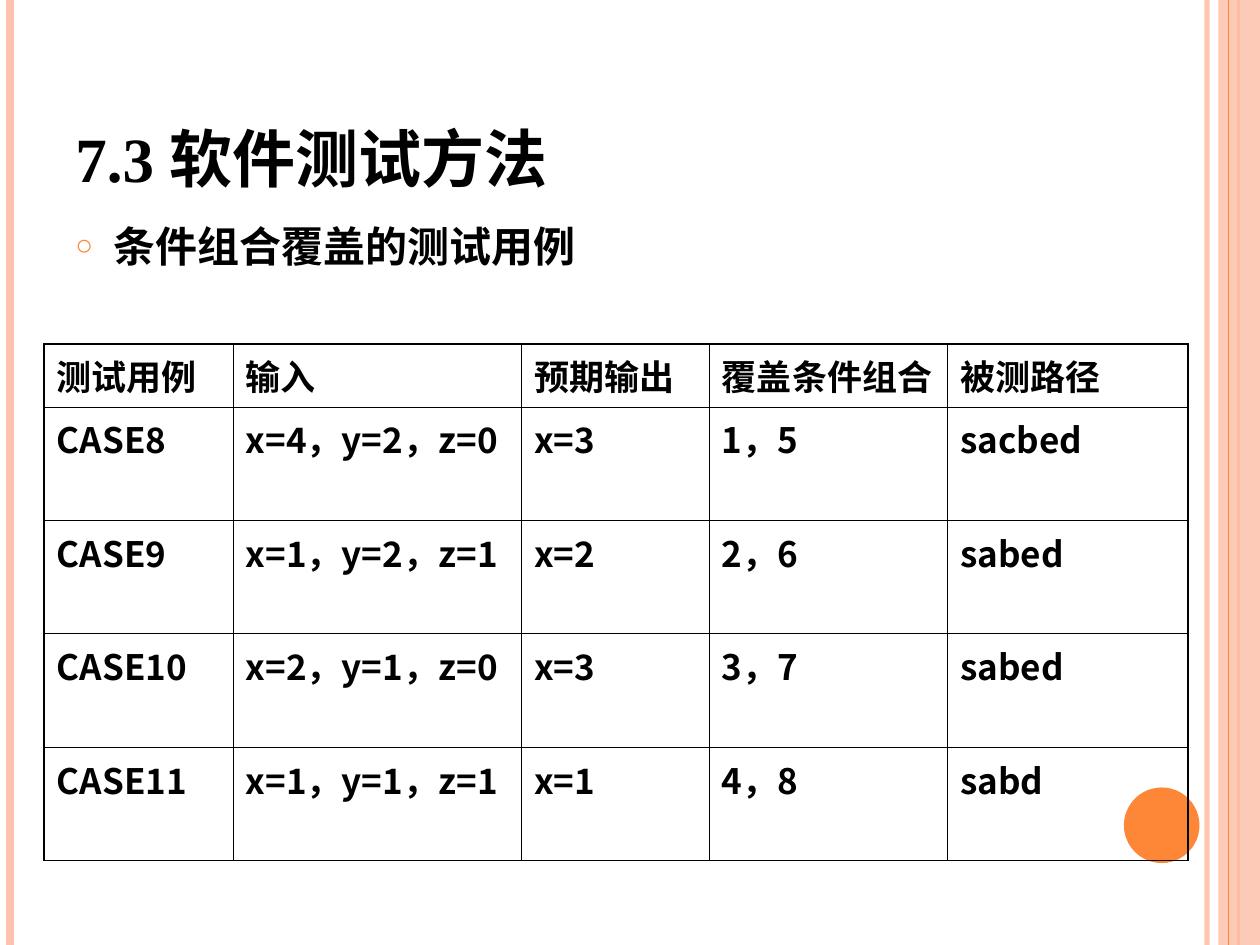
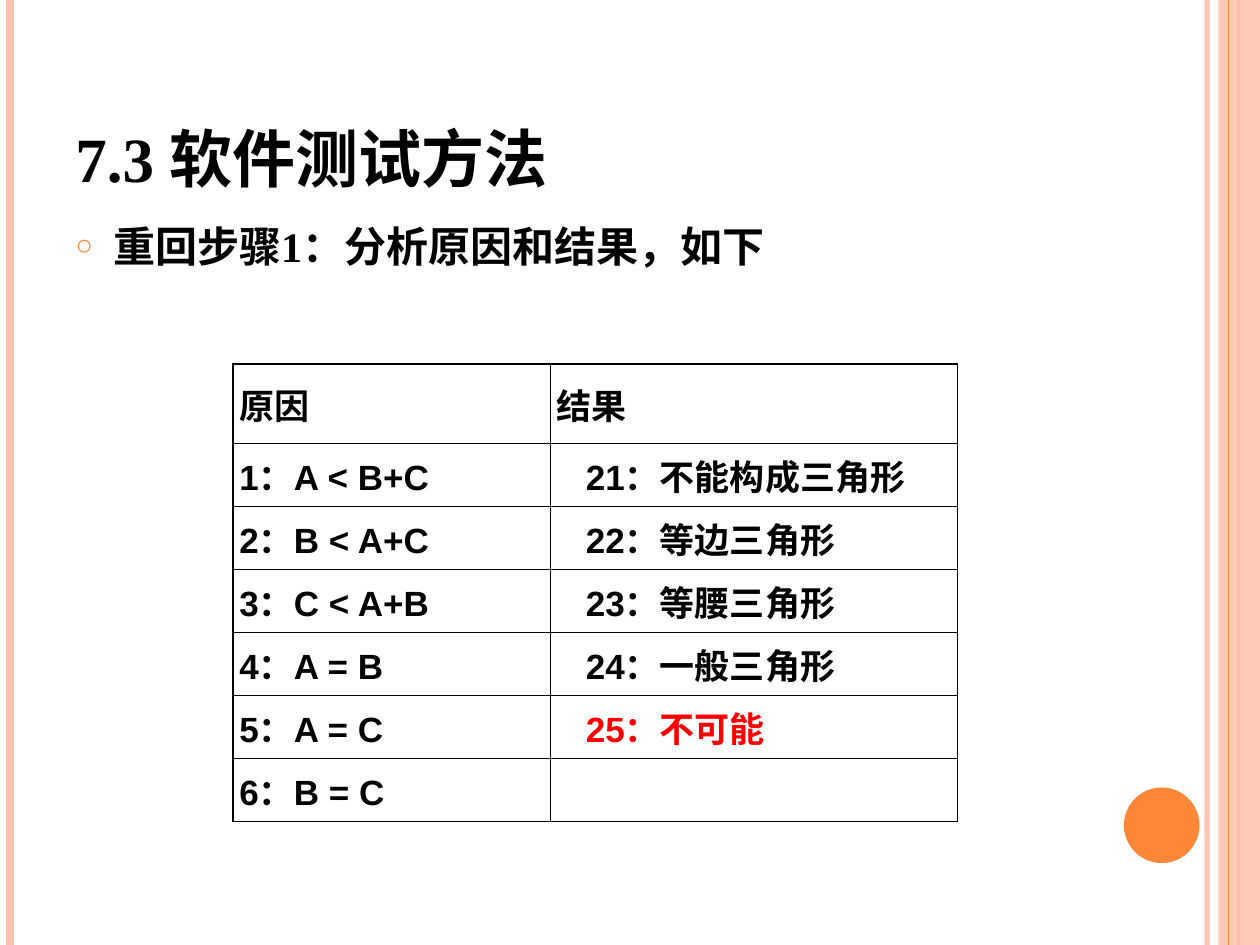
from pptx import Presentation
from pptx.dml.color import RGBColor
from pptx.enum.shapes import MSO_CONNECTOR, MSO_SHAPE
from pptx.enum.text import MSO_ANCHOR
from pptx.oxml import parse_xml
from pptx.oxml.ns import nsdecls, qn
from pptx.util import Inches, Pt

BLACK = RGBColor(0x00, 0x00, 0x00)
WHITE = RGBColor(0xFF, 0xFF, 0xFF)
RED = RGBColor(0xFF, 0x00, 0x00)
ORANGE = RGBColor(0xFE, 0x86, 0x37)
PEACH = RGBColor(0xFE, 0xC3, 0xAE)

SERIF = "Times New Roman"
SANS = "Arial"
CHINESE = "Noto Sans CJK SC"

WIDTH, HEIGHT = 10, 7.5
OUTER_BORDER, INNER_BORDER = 1.08, 0.45
TITLE = "7.3 软件测试方法"

LEFT_STRIPES = [(9.58, PEACH, 3, 93), (0.08, PEACH, 4.5, 100), (9.83, ORANGE, 1.5, 100)]
BAND_STRIPE = (9.75, ORANGE, 0.75, 100)

SLIDES = [
    {
        "point": "条件组合覆盖的测试用例",
        "rows": [
            ("测试用例", "输入", "预期输出", "覆盖条件组合", "被测路径"),
            ("CASE8", "x=4，y=2，z=0", "x=3", "1，5", "sacbed"),
            ("CASE9", "x=1，y=2，z=1", "x=2", "2，6", "sabed"),
            ("CASE10", "x=2，y=1，z=0", "x=3", "3，7", "sabed"),
            ("CASE11", "x=1，y=1，z=1", "x=1", "4，8", "sabd"),
        ],
        "corner": (0.35, 2.73),
        "columns": (1.5, 2.29, 1.49, 1.89, 1.91),
        "heights": (0.5, 0.9),
        "font": CHINESE,
        "margin": 0.1,
        "result_margin": 0.1,
        "anchor": MSO_ANCHOR.TOP,
        "fill": None,
        "red": (),
    },
    {
        "point": "重回步骤1：分析原因和结果，如下",
        "rows": [
            ("原因", "结果"),
            ("1：A < B+C", "21：不能构成三角形"),
            ("2：B < A+C", "22：等边三角形"),
            ("3：C < A+B", "23：等腰三角形"),
            ("4：A = B", "24：一般三角形"),
            ("5：A = C", "25：不可能"),
            ("6：B = C", ""),
        ],
        "corner": (1.85, 2.89),
        "columns": (2.52, 3.23),
        "heights": (0.63, 0.5),
        "font": SANS,
        "margin": 0.05,
        "result_margin": 0.28,
        "anchor": MSO_ANCHOR.MIDDLE,
        "fill": WHITE,
        "red": ("25：不可能",),
    },
]


def set_alpha(shape, percent):
    for color in shape.element.spPr.iter(qn("a:srgbClr")):
        color.append(parse_xml(f'<a:alpha {nsdecls("a")} val="{percent * 1000}"/>'))


def add_stripe(page, x, color, width, alpha):
    stripe = page.shapes.add_connector(
        MSO_CONNECTOR.STRAIGHT, Inches(x), 0, Inches(x), Inches(HEIGHT))
    stripe.line.color.rgb = color
    stripe.line.width = Pt(width)
    if alpha < 100:
        set_alpha(stripe, alpha)
    stripe.element.spPr.append(parse_xml(f'<a:effectLst {nsdecls("a")}/>'))


def add_plain_shape(page, kind, place, color):
    shape = page.shapes.add_shape(kind, *map(Inches, place))
    shape.shadow.inherit = False
    shape.fill.solid()
    shape.fill.fore_color.rgb = color
    shape.line.fill.background()
    return shape


def add_decoration(page):
    for stripe in LEFT_STRIPES:
        add_stripe(page, *stripe)
    band = add_plain_shape(page, MSO_SHAPE.RECTANGLE, (9.67, 0, 0.33, HEIGHT), PEACH)
    set_alpha(band, 87)
    add_stripe(page, *BAND_STRIPE)
    add_plain_shape(page, MSO_SHAPE.OVAL, (8.92, 6.25, 0.6, 0.6), ORANGE)


def format_runs(paragraph, font, size, color=BLACK):
    for span in paragraph.runs:
        span.font.name = font
        span.font.size = Pt(size)
        span.font.bold = True
        span.font.color.rgb = color
        span.font.element.append(
            parse_xml(f'<a:ea {nsdecls("a")} typeface="{CHINESE}"/>')
        ) if hasattr(span.font, "element") else span._r.get_or_add_rPr().append(
            parse_xml(f'<a:ea {nsdecls("a")} typeface="{CHINESE}"/>'))


def add_text(page, text, place, size, anchor):
    box = page.shapes.add_textbox(*map(Inches, place))
    frame = box.text_frame
    frame.word_wrap = True
    frame.vertical_anchor = anchor
    frame.margin_top = frame.margin_bottom = 0
    frame.text = text
    paragraph = frame.paragraphs[0]
    format_runs(paragraph, SERIF, size)
    return paragraph


def add_bullet(paragraph):
    properties = paragraph._p.get_or_add_pPr()
    properties.set("marL", str(Inches(0.3)))
    properties.set("indent", str(-Inches(0.3)))
    for tag in (
        f'<a:buClr {nsdecls("a")}><a:srgbClr val="{ORANGE}"/></a:buClr>',
        f'<a:buSzPct {nsdecls("a")} val="70000"/>',
        f'<a:buFont {nsdecls("a")} typeface="{SERIF}"/>',
        f'<a:buChar {nsdecls("a")} char="○"/>',
    ):
        properties.append(parse_xml(tag))


def add_borders(cell, outer_sides):
    properties = cell._tc.get_or_add_tcPr()
    for side in "LRTB":
        width = Pt(OUTER_BORDER if side in outer_sides else INNER_BORDER)
        properties.append(parse_xml(
            f'<a:ln{side} {nsdecls("a")} w="{width}"><a:solidFill>'
            f'<a:srgbClr val="{BLACK}"/></a:solidFill></a:ln{side}>'))


def add_grid(page, content):
    rows, columns = content["rows"], content["columns"]
    header_height, body_height = content["heights"]
    heights = [header_height] + [body_height] * (len(rows) - 1)
    place = (*content["corner"], sum(columns), sum(heights))
    table = page.shapes.add_table(len(rows), len(columns), *map(Inches, place)).table
    table.first_row = table.horz_banding = False
    for column, width in zip(table.columns, columns):
        column.width = Inches(width)
    for row, height in zip(table.rows, heights):
        row.height = Inches(height)

    last_row, last_column = len(rows) - 1, len(columns) - 1
    for i, texts in enumerate(rows):
        for j, text in enumerate(texts):
            cell = table.cell(i, j)
            sides = {"T": i == 0, "B": i == last_row, "L": j == 0, "R": j == last_column}
            add_borders(cell, [side for side, is_outer in sides.items() if is_outer])
            if content["fill"] is None:
                cell.fill.background()
            else:
                cell.fill.solid()
                cell.fill.fore_color.rgb = content["fill"]
            is_result = i > 0 and j == last_column
            cell.margin_left = Inches(content["result_margin" if is_result else "margin"])
            cell.margin_right = Inches(content["margin"])
            cell.margin_top = cell.margin_bottom = Inches(0.05)
            cell.vertical_anchor = content["anchor"]
            cell.text_frame.text = text
            color = RED if text in content["red"] else BLACK
            format_runs(cell.text_frame.paragraphs[0], content["font"], 20, color)


def main():
    deck = Presentation()
    deck.slide_width, deck.slide_height = Inches(WIDTH), Inches(HEIGHT)
    for content in SLIDES:
        page = deck.slides.add_slide(deck.slide_layouts[6])
        add_decoration(page)
        add_text(page, TITLE, (0.5, 0.3, 8.17, 1.25), 36, MSO_ANCHOR.BOTTOM)
        point = add_text(page, content["point"], (0.5, 1.75, 8.17, 5.33), 24, MSO_ANCHOR.TOP)
        add_bullet(point)
        add_grid(page, content)
    deck.save("out.pptx")


if __name__ == "__main__":
    main()
